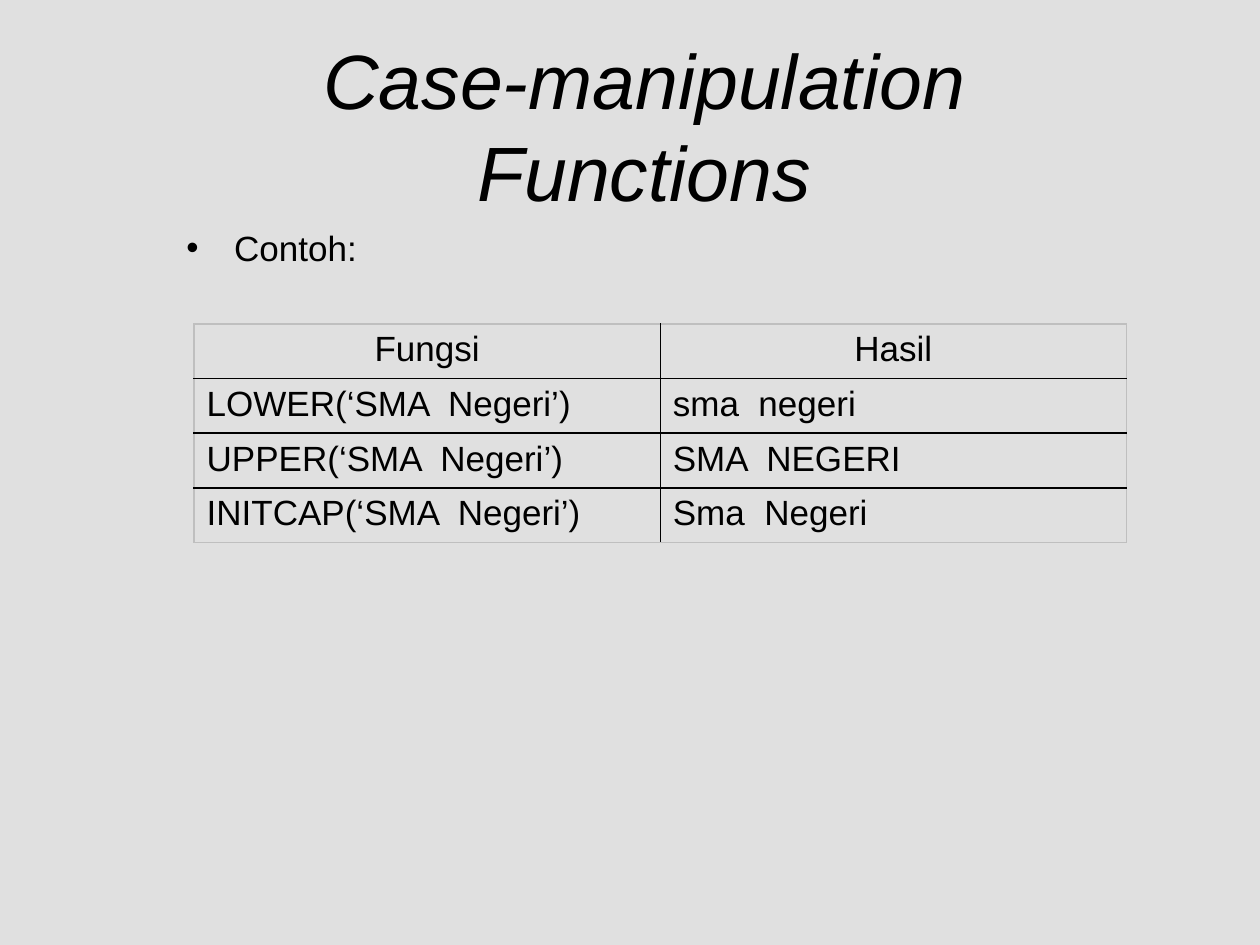
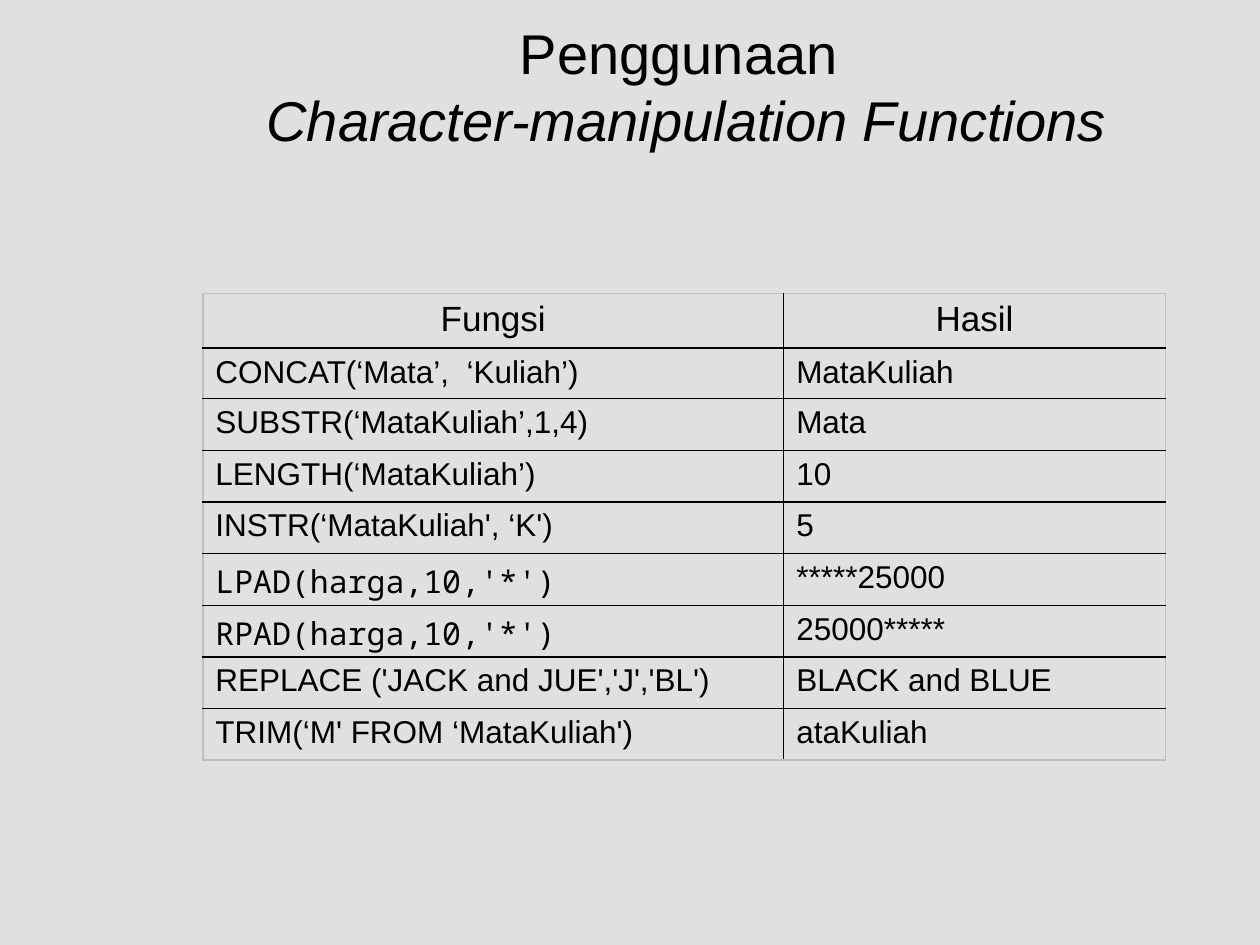
"""Build two slides on SQL case and character functions."""
from dataclasses import dataclass

import lxml.etree
import pptx
import pptx.dml.color
import pptx.enum.text
import pptx.oxml.ns
import pptx.util

COLUMNS, ROWS = 100, 75
UNIT = pptx.util.Inches(0.1)
BACKGROUND, INK, OUTER_LINE = "E0E0E0", "000000", "BFBFBF"
FONT, CODE_FONT = "Arial", "Noto Sans Mono"
HEADINGS = ("Fungsi", "Hasil")
HEADING_SIZE = 20
ROW_HEIGHT, FIRST_ROW_HEIGHT = 4.1, 3.9
CENTER = pptx.enum.text.PP_ALIGN.CENTER
LEFT = pptx.enum.text.PP_ALIGN.LEFT
MIDDLE = pptx.enum.text.MSO_ANCHOR.MIDDLE
TOP = pptx.enum.text.MSO_ANCHOR.TOP


@dataclass(frozen=True)
class Area:
    """A place on the slide in grid columns and rows."""
    left: float
    top: float
    width: float
    height: float

    def lengths(self) -> list[int]:
        """Return the place as slide lengths."""
        return [grid(n) for n in (self.left, self.top, self.width, self.height)]


@dataclass(frozen=True)
class Example:
    """A function call and its result."""
    call: str
    result: str
    call_font: str = FONT


@dataclass(frozen=True)
class ExampleTable:
    """A table of examples below the shared headings."""
    left: float
    top: float
    widths: tuple[float, float]
    size: int
    examples: tuple[Example, ...]


CASE_TABLE = ExampleTable(15.4, 25.7, (37, 37), 20, (
    Example("LOWER(‘SMA  Negeri’)", "sma  negeri"),
    Example("UPPER(‘SMA  Negeri’)", "SMA  NEGERI"),
    Example("INITCAP(‘SMA  Negeri’)", "Sma  Negeri"),
))
CHARACTER_TABLE = ExampleTable(16.1, 23.3, (46.1, 30.3), 18, (
    Example("CONCAT(‘Mata’,  ‘Kuliah’)", "MataKuliah"),
    Example("SUBSTR(‘MataKuliah’,1,4)", "Mata"),
    Example("LENGTH(‘MataKuliah’)", "10"),
    Example("INSTR(‘MataKuliah', ‘K')", "5"),
    Example("LPAD(harga,10,'*')", "*****25000", CODE_FONT),
    Example("RPAD(harga,10,'*')", "25000*****", CODE_FONT),
    Example("REPLACE ('JACK and JUE','J','BL')", "BLACK and BLUE"),
    Example("TRIM(‘M' FROM ‘MataKuliah')", "ataKuliah"),
))


def grid(count: float) -> int:
    """Turn a count of grid units into a length."""
    return round(count * UNIT)


def color(value: str) -> pptx.dml.color.RGBColor:
    """Turn a hex string into a colour."""
    return pptx.dml.color.RGBColor.from_string(value)


def add_element(parent, tag: str, **attributes: str):
    """Append a drawing element to a parent element."""
    return lxml.etree.SubElement(parent, pptx.oxml.ns.qn(tag), attributes)


def write(para, text: str, *, size: float, font: str = FONT,
          italic: bool = False, align=LEFT) -> None:
    """Add a formatted span of text to a paragraph."""
    para.alignment = align
    span = para.add_run()
    span.text = text
    span.font.name = font
    span.font.size = pptx.util.Pt(size)
    span.font.italic = italic
    span.font.color.rgb = color(INK)


def add_page(deck):
    """Add a blank page with the shared background."""
    page = deck.slides.add_slide(deck.slide_layouts[6])
    page.background.fill.solid()
    page.background.fill.fore_color.rgb = color(BACKGROUND)
    return page


def add_box(page, area: Area, anchor=TOP):
    """Add a wrapping text box and return its first paragraph."""
    frame = page.shapes.add_textbox(*area.lengths()).text_frame
    frame.word_wrap = True
    frame.vertical_anchor = anchor
    return frame.paragraphs[0]


def add_bullet(para, indent: float) -> None:
    """Give a paragraph a round bullet and a hanging indent."""
    properties = para._p.get_or_add_pPr()
    properties.set("marL", str(grid(indent)))
    properties.set("indent", str(-grid(indent)))
    add_element(properties, "a:buFont", typeface=FONT)
    add_element(properties, "a:buChar", char="•")


def add_border(cell, side: str, outer: bool) -> None:
    """Draw one side of a cell."""
    line = add_element(cell._tc.get_or_add_tcPr(), f"a:ln{side}",
                       w=str(pptx.util.Pt(1)))
    fill = add_element(line, "a:solidFill")
    add_element(fill, "a:srgbClr", val=OUTER_LINE if outer else INK)


def add_examples(page, content: ExampleTable) -> None:
    """Draw a table of function calls and results."""
    count = len(content.examples) + 1
    heights = [ROW_HEIGHT, FIRST_ROW_HEIGHT] + [ROW_HEIGHT] * (count - 2)
    area = Area(content.left, content.top, sum(content.widths), sum(heights))
    table = page.shapes.add_table(count, 2, *area.lengths()).table
    table.first_row = table.horz_banding = False
    for column, width in zip(table.columns, content.widths):
        column.width = grid(width)
    for row, height in zip(table.rows, heights):
        row.height = grid(height)

    for index, heading in enumerate(HEADINGS):
        write(table.cell(0, index).text_frame.paragraphs[0], heading,
              size=HEADING_SIZE, align=CENTER)
    for index, example in enumerate(content.examples, start=1):
        call, result = (cell.text_frame.paragraphs[0]
                        for cell in table.rows[index].cells)
        write(call, example.call, size=content.size, font=example.call_font)
        write(result, example.result, size=content.size)

    for row_index, row in enumerate(table.rows):
        for column_index, cell in enumerate(row.cells):
            add_border(cell, "L", column_index == 0)
            add_border(cell, "R", column_index == 1)
            add_border(cell, "T", row_index == 0)
            add_border(cell, "B", row_index == count - 1)
            cell.fill.background()


def build_case_page(deck) -> None:
    """Build the page on case functions."""
    page = add_page(deck)
    title = add_box(page, Area(14.6, 5.2, 73.1, 9.4), MIDDLE)
    write(title, "Case-manipulation Functions", size=44, italic=True, align=CENTER)
    label = add_box(page, Area(13.8, 17.5, 81.2, 5))
    add_bullet(label, 3.8)
    write(label, "Contoh:", size=20)
    add_examples(page, CASE_TABLE)


def build_character_page(deck) -> None:
    """Build the page on character functions."""
    page = add_page(deck)
    title = add_box(page, Area(14.6, 1.3, 79.8, 11), MIDDLE)
    write(title, "Penggunaan ", size=32, align=CENTER)
    title.add_line_break()
    write(title, "Character-manipulation Functions", size=32, italic=True, align=CENTER)
    add_examples(page, CHARACTER_TABLE)


def main() -> None:
    """Build and save the deck."""
    deck = pptx.Presentation()
    deck.slide_width, deck.slide_height = grid(COLUMNS), grid(ROWS)
    build_case_page(deck)
    build_character_page(deck)
    deck.save("out.pptx")


if __name__ == "__main__":
    main()
